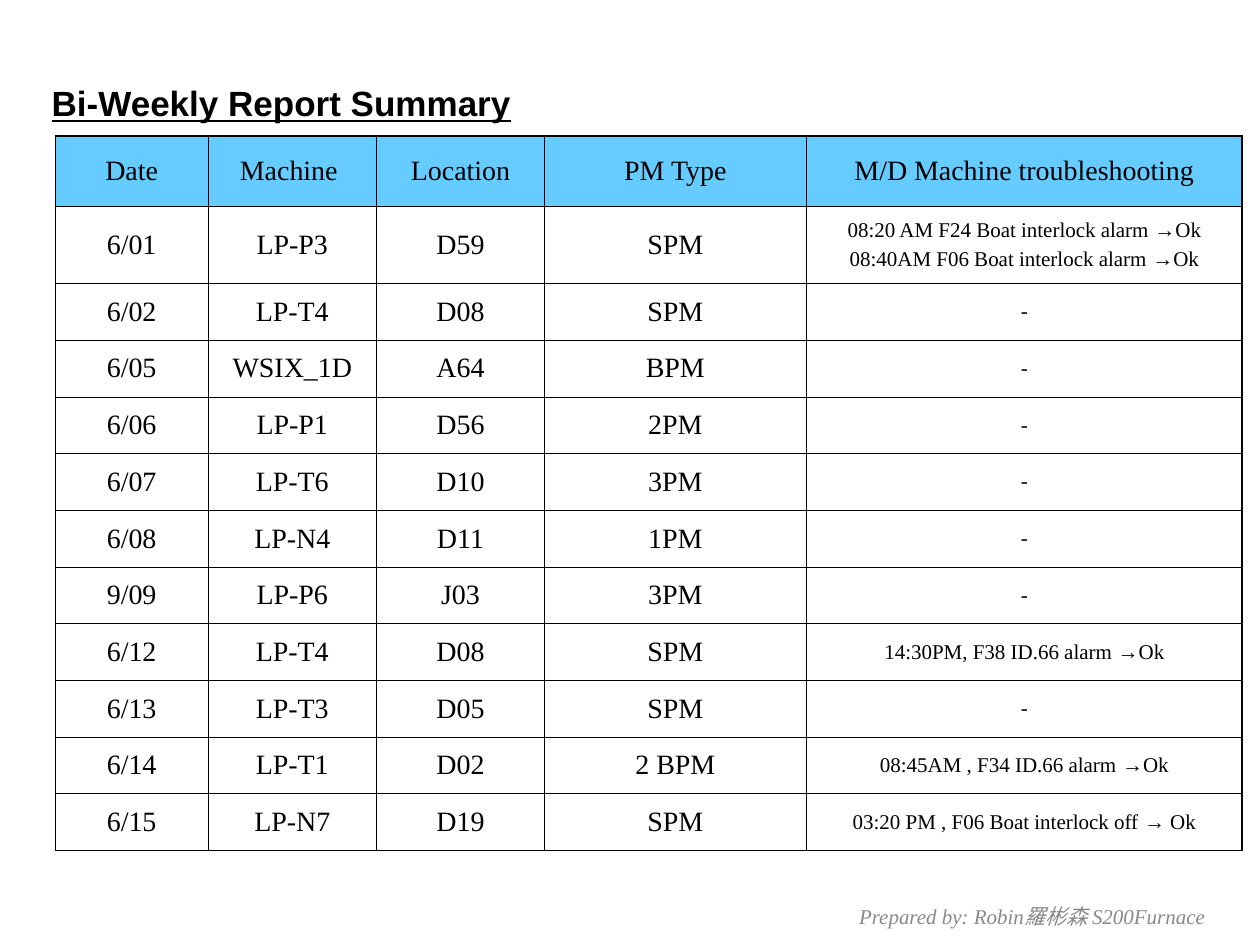
from pptx import Presentation
from pptx.dml.color import RGBColor
from pptx.enum.text import MSO_ANCHOR, MSO_AUTO_SIZE, PP_ALIGN
from pptx.oxml import parse_xml
from pptx.oxml.ns import nsdecls
from pptx.util import Inches, Pt

BLACK = RGBColor(0x00, 0x00, 0x00)
GRAY = RGBColor(0x89, 0x89, 0x89)
SKY = RGBColor(0x66, 0xCC, 0xFF)
SERIF = "Times New Roman"
SANS = "Arial"
ARROW = "→"
THIN, THICK = Pt(0.45), Pt(1.08)

COLUMN_WIDTHS = [1.21, 1.34, 1.33, 2.08, 3.46]
ROW_HEIGHTS = [0.56, 0.61] + [0.45] * 10
ROWS = [
    ("Date", "Machine ", "Location", "PM Type", "M/D Machine troubleshooting"),
    ("6/01", "LP-P3", "D59", "SPM",
     "08:20 AM F24 Boat interlock alarm →Ok\n08:40AM F06 Boat interlock alarm →Ok"),
    ("6/02", "LP-T4", "D08", "SPM", "-"),
    ("6/05", "WSIX_1D", "A64", "BPM", "-"),
    ("6/06", "LP-P1", "D56", "2PM", "-"),
    ("6/07", "LP-T6", "D10", "3PM", "-"),
    ("6/08", "LP-N4", "D11", "1PM", "-"),
    ("9/09", "LP-P6", "J03", "3PM", "-"),
    ("6/12", "LP-T4", "D08", "SPM", "14:30PM, F38 ID.66 alarm →Ok"),
    ("6/13", "LP-T3", "D05", "SPM", "-"),
    ("6/14", "LP-T1", "D02", "2 BPM", "08:45AM , F34 ID.66 alarm →Ok"),
    ("6/15", "LP-N7", "D19", "SPM", "03:20 PM , F06 Boat interlock off → Ok"),
]


def style_font(font, name, size, color):
    font.name = name
    font.size = Pt(size)
    font.color.rgb = color


def add_title(page):
    title = page.shapes.title
    title.left, title.top = Inches(0.31), Inches(0.6)
    title.width, title.height = Inches(4.83), Inches(0.44)
    frame = title.text_frame
    frame.text = "Bi-Weekly Report Summary"
    frame.vertical_anchor = MSO_ANCHOR.TOP
    frame.auto_size = MSO_AUTO_SIZE.SHAPE_TO_FIT_TEXT
    para = frame.paragraphs[0]
    para.alignment = PP_ALIGN.LEFT
    style_font(para.font, SANS, 20, BLACK)
    para.font.bold = True
    para.font.underline = True


def add_credit(page):
    box = page.shapes.add_textbox(Inches(6.72), Inches(7.07), Inches(3.17), Inches(0.4))
    frame = box.text_frame
    frame.word_wrap = True
    frame.vertical_anchor = MSO_ANCHOR.MIDDLE
    para = frame.paragraphs[0]
    para.text = "Prepared by: Robin羅彬森 S200Furnace"
    style_font(para.font, SERIF, 12, GRAY)
    para.font.italic = True


def set_borders(cell, widths):
    properties = cell._tc.get_or_add_tcPr()
    for side, width in zip("LRTB", widths):
        properties.append(parse_xml(
            f'<a:ln{side} {nsdecls("a")} w="{width}"><a:solidFill>'
            f'<a:srgbClr val="{BLACK}"/></a:solidFill></a:ln{side}>'))


def add_line(para, line, size):
    para.alignment = PP_ALIGN.CENTER
    before, arrow, after = line.partition(ARROW)
    for text in filter(None, (before, arrow, after)):
        span = para.add_run()
        span.text = text
        style_font(span.font, SANS if text == ARROW else SERIF, size, BLACK)


def fill_cell(cell, text, size):
    cell.vertical_anchor = MSO_ANCHOR.MIDDLE
    frame = cell.text_frame
    for index, line in enumerate(text.split("\n")):
        para = frame.add_paragraph() if index else frame.paragraphs[0]
        if index:
            para.space_before = Pt(3)
        add_line(para, line, size)


def add_report_table(page):
    frame = page.shapes.add_table(
        len(ROWS), len(COLUMN_WIDTHS), Inches(0.44), Inches(1.08),
        Inches(sum(COLUMN_WIDTHS)), Inches(sum(ROW_HEIGHTS)))
    table = frame.table
    table.horz_banding = False
    for column, width in zip(table.columns, COLUMN_WIDTHS):
        column.width = Inches(width)
    for row, height in zip(table.rows, ROW_HEIGHTS):
        row.height = Inches(height)
    last = len(COLUMN_WIDTHS) - 1
    for row, texts in enumerate(ROWS):
        for column, text in enumerate(texts):
            cell = table.cell(row, column)
            fill_cell(cell, text, 12 if row and column == last else 16)
            set_borders(cell, (
                THIN if column else THICK,
                THICK if column == last else THIN,
                THIN if row else THICK,
                THIN))
            if row:
                cell.fill.background()
            else:
                cell.fill.solid()
                cell.fill.fore_color.rgb = SKY


def main():
    deck = Presentation()
    deck.slide_width, deck.slide_height = Inches(10), Inches(7.5)
    page = deck.slides.add_slide(deck.slide_layouts[5])
    add_credit(page)
    add_title(page)
    add_report_table(page)
    deck.save("out.pptx")


if __name__ == "__main__":
    main()
